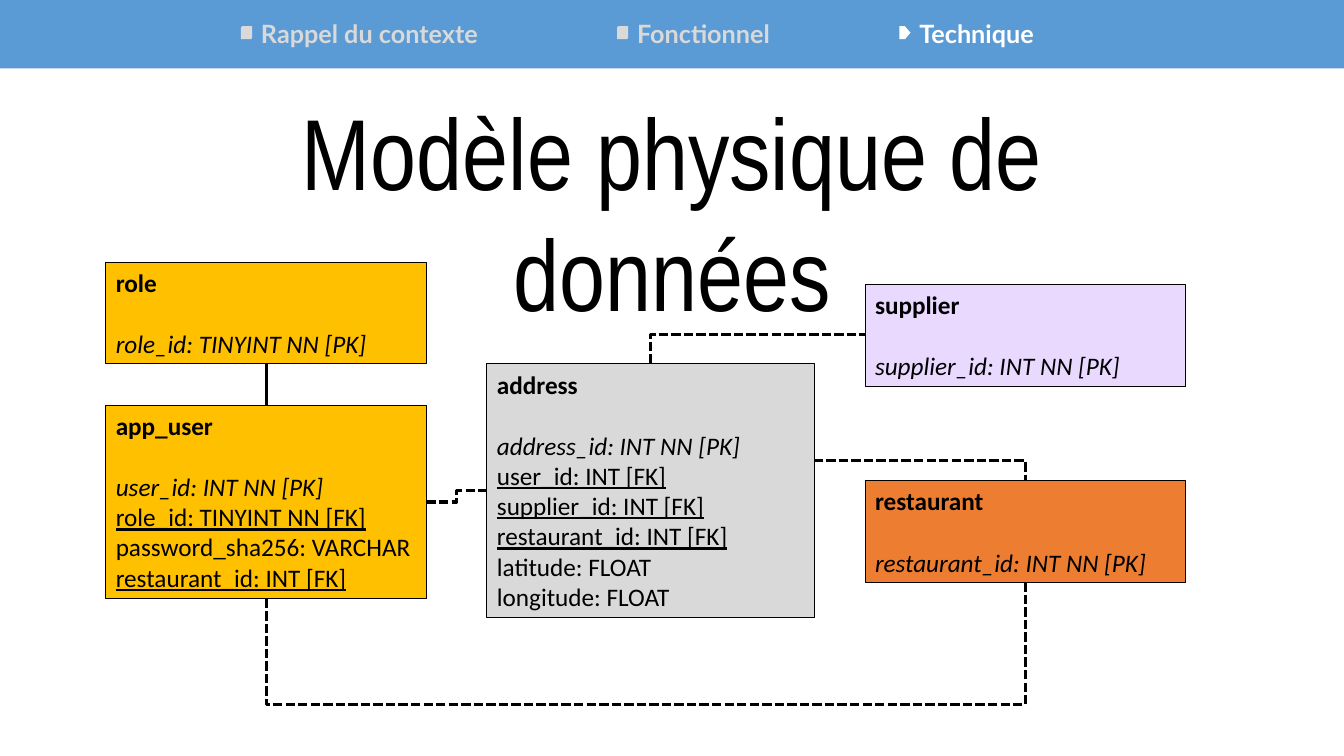
from dataclasses import dataclass

from pptx import Presentation
from pptx.dml.color import RGBColor
from pptx.enum import dml, shapes, text
from pptx.oxml import ns
from pptx.oxml.xmlchemy import OxmlElement
from pptx.slide import Slide
from pptx.util import Inches, Pt

COLORS = {
    "black": "000000",
    "white": "FFFFFF",
    "band": "5B9BD5",
    "grey": "D9D9D9",
    "amber": "FFC000",
    "orange": "ED7D31",
    "lilac": "EAD9FF",
}


@dataclass
class Entity:
    name: str
    left: float
    top: float
    width: float
    height: float
    color: str
    fields: list[str]


@dataclass
class Link:
    start: tuple[float, float]
    end: tuple[float, float]
    preset: str
    turned: bool = False
    bend: int | None = None


@dataclass
class Step:
    label: str
    left: float
    width: float
    color: str
    marker: shapes.MSO_SHAPE


ENTITIES = [
    Entity("app_user", 1.05, 4.02, 3.18, 1.92, "amber", [
        "user_id: INT NN [PK]", "role_id: TINYINT NN [FK]",
        "password_sha256: VARCHAR", "restaurant_id: INT [FK]"]),
    Entity("address", 4.83, 3.61, 3.25, 2.52, "grey", [
        "address_id: INT NN [PK]", "user_id: INT [FK]",
        "supplier_id: INT [FK]", "restaurant_id: INT [FK]",
        "latitude: FLOAT", "longitude: FLOAT"]),
    Entity("restaurant", 8.58, 4.77, 3.18, 1.01, "orange",
           ["restaurant_id: INT NN [PK]"]),
    Entity("role", 1.05, 2.6, 3.18, 1.01, "amber",
           ["role_id: TINYINT NN [PK]"]),
    Entity("supplier", 8.58, 2.82, 3.18, 1.01, "lilac",
           ["supplier_id: INT NN [PK]"]),
]

LINKS = [
    Link((2.64, 3.61), (2.64, 4.02), "line"),
    Link((4.23, 4.98), (4.83, 4.87), "bentConnector3"),
    Link((6.45, 3.61), (8.58, 3.32), "bentConnector2", turned=True),
    Link((8.07, 4.57), (10.17, 4.77), "bentConnector2"),
    Link((2.64, 5.94), (10.17, 5.78), "bentConnector3", True, -658200),
]

SQUARE = shapes.MSO_SHAPE.ROUND_2_DIAG_RECTANGLE
STEPS = [
    Step("Rappel du contexte", 2.49, 2.98, "grey", SQUARE),
    Step("Fonctionnel", 6.22, 1.95, "grey", SQUARE),
    Step("Technique", 9.02, 1.83, "white", shapes.MSO_SHAPE.PENTAGON),
]


def rgb(color: str) -> RGBColor:
    return RGBColor.from_string(COLORS[color])


def add_run(paragraph, content: str, font: str, size: float, color: str):
    run = paragraph.add_run()
    run.text = content
    run.font.name = font
    run.font.size = Pt(size)
    run.font.color.rgb = rgb(color)
    return run


def add_block(slide: Slide, kind: shapes.MSO_SHAPE, left: float, top: float,
              width: float, height: float, color: str):
    shape = slide.shapes.add_shape(
        kind, Inches(left), Inches(top), Inches(width), Inches(height))
    shape.shadow.inherit = False
    shape.fill.solid()
    shape.fill.fore_color.rgb = rgb(color)
    shape.line.fill.background()
    return shape


def add_title(slide: Slide, content: str) -> None:
    title = slide.shapes.title
    title.left, title.top = Inches(1.73), Inches(0.84)
    title.width, title.height = Inches(9.87), Inches(1.31)
    frame = title.text_frame
    frame.word_wrap = True
    frame.auto_size = text.MSO_AUTO_SIZE.NONE
    frame.vertical_anchor = text.MSO_ANCHOR.TOP
    paragraph = frame.paragraphs[0]
    paragraph.alignment = text.PP_ALIGN.CENTER
    add_run(paragraph, content, "Arial Narrow", 72, "black")


def add_entity(slide: Slide, entity: Entity) -> None:
    shape = add_block(slide, shapes.MSO_SHAPE.RECTANGLE, entity.left,
                      entity.top, entity.width, entity.height, entity.color)
    shape.line.color.rgb = rgb("black")
    shape.line.width = Pt(0.75)
    frame = shape.text_frame
    frame.word_wrap = True
    frame.vertical_anchor = text.MSO_ANCHOR.TOP
    heading = frame.paragraphs[0]
    heading.alignment = text.PP_ALIGN.LEFT
    add_run(heading, entity.name, "Calibri", 18, "black").font.bold = True
    for index, field in enumerate(entity.fields):
        paragraph = frame.add_paragraph()
        paragraph.alignment = text.PP_ALIGN.LEFT
        if index == 0:
            paragraph.space_before = Pt(22)
        run = add_run(paragraph, field, "Calibri", 18, "black")
        run.font.italic = field.endswith("[PK]")
        run.font.underline = field.endswith("[FK]")


def add_link(slide: Slide, link: Link) -> None:
    (x1, y1), (x2, y2) = link.start, link.end
    if link.turned:
        center_x, center_y = (x1 + x2) / 2, (y1 + y2) / 2
        half_x, half_y = (x2 - x1) / 2, (y2 - y1) / 2
        x1, x2 = center_x - half_y, center_x + half_y
        y1, y2 = center_y + half_x, center_y - half_x
    connector = slide.shapes.add_connector(
        shapes.MSO_CONNECTOR.ELBOW, Inches(x1), Inches(y1), Inches(x2), Inches(y2))
    connector.line.color.rgb = rgb("black")
    connector.line.width = Pt(2.25)
    if link.preset != "line":
        connector.line.dash_style = dml.MSO_LINE.SQUARE_DOT
    properties = connector._element.spPr
    properties.append(OxmlElement("a:effectLst"))
    geometry = properties.find(ns.qn("a:prstGeom"))
    geometry.set("prst", link.preset)
    if link.turned:
        properties.find(ns.qn("a:xfrm")).set("rot", "5400000")
    if link.bend is not None:
        guide = OxmlElement("a:gd")
        guide.set("name", "adj1")
        guide.set("fmla", f"val {link.bend}")
        geometry.find(ns.qn("a:avLst")).append(guide)


def add_step(slide: Slide, step: Step) -> None:
    add_block(slide, step.marker, step.left - 0.1, 0.26, 0.11, 0.13, step.color)
    box = slide.shapes.add_textbox(
        Inches(step.left), Inches(0.13), Inches(step.width), Inches(0.4))
    box.text_frame.word_wrap = True
    run = add_run(box.text_frame.paragraphs[0], step.label, "Lato", 18, step.color)
    run.font.bold = True


def main() -> None:
    presentation = Presentation()
    presentation.slide_width = Inches(13.33)
    presentation.slide_height = Inches(7.5)
    slide = presentation.slides.add_slide(presentation.slide_layouts[5])
    add_title(slide, "Modèle physique de données")
    add_block(slide, shapes.MSO_SHAPE.RECTANGLE, 0, 0, 13.33, 0.68, "band")
    for step in STEPS:
        add_step(slide, step)
    for entity in ENTITIES:
        add_entity(slide, entity)
    for link in LINKS:
        add_link(slide, link)
    presentation.save("out.pptx")


if __name__ == "__main__":
    main()
